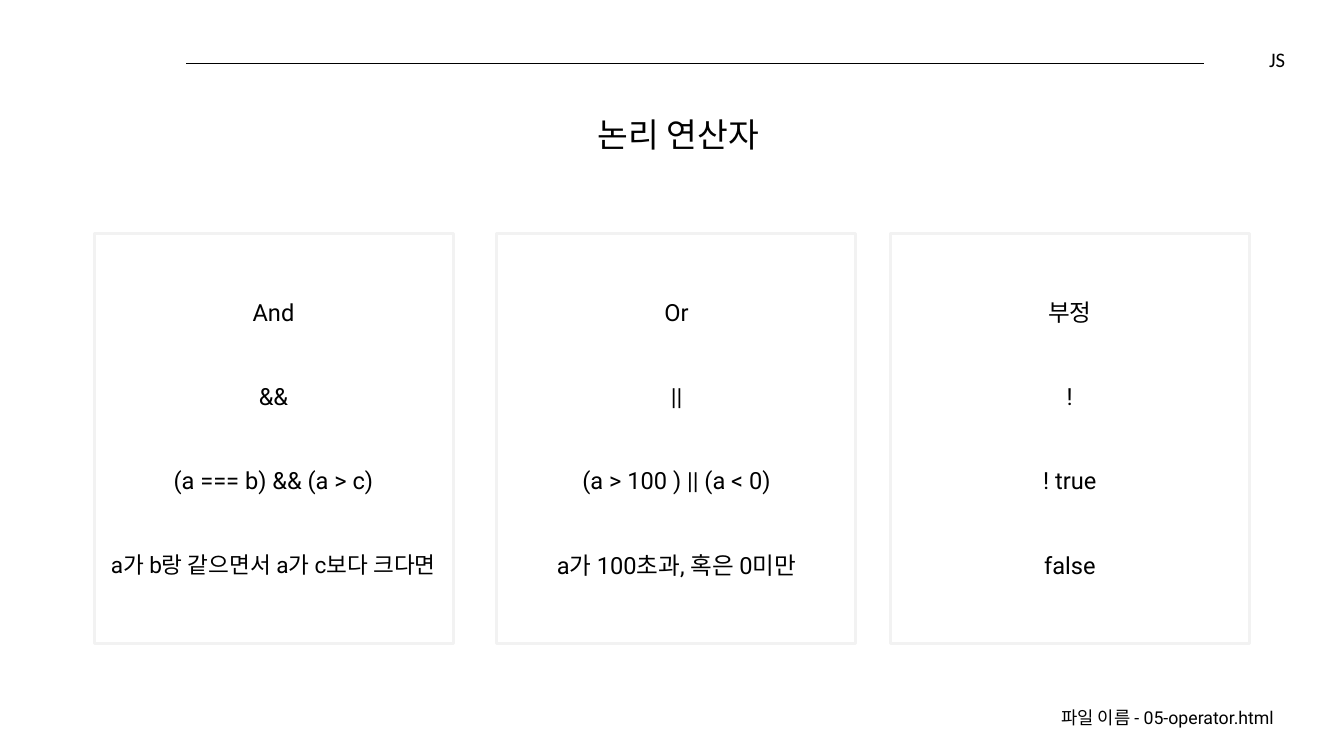
from pptx import Presentation
from pptx.dml.color import RGBColor
from pptx.enum.shapes import MSO_CONNECTOR, MSO_SHAPE
from pptx.enum.text import MSO_ANCHOR, PP_ALIGN
from pptx.oxml.ns import qn
from pptx.util import Inches, Pt
from lxml.etree import SubElement

WIDTH, HEIGHT = 18.97, 10.67
CARD_TOP, CARD_WIDTH, CARD_HEIGHT = 3.29, 5.07, 5.79
ROW_TOP, ROW_STEP, ROW_HEIGHT = 4.01, 1.19, 0.78


def color(value):
    return RGBColor.from_string(value)


def add_text(text, left, top, width, height, size, align=PP_ALIGN.CENTER,
             font="Roboto", inset=0.19, anchor=MSO_ANCHOR.TOP):
    box = page.shapes.add_textbox(Inches(left), Inches(top), Inches(width), Inches(height))
    frame = box.text_frame
    frame.word_wrap = True
    frame.vertical_anchor = anchor
    frame.margin_left = frame.margin_right = Inches(inset)
    frame.margin_top = frame.margin_bottom = Inches(inset)
    frame.text = text
    para = frame.paragraphs[0]
    para.alignment = align
    span = para.runs[0]
    span.font.name = font
    span.font.size = Pt(size)
    span.font.color.rgb = color("000000")


deck = Presentation()
deck.slide_width, deck.slide_height = Inches(WIDTH), Inches(HEIGHT)
page = deck.slides.add_slide(deck.slide_layouts[6])

rule = page.shapes.add_connector(
    MSO_CONNECTOR.STRAIGHT, Inches(16.99), Inches(0.9), Inches(2.62), Inches(0.9))
rule.line.color.rgb = color("000000")
rule.line.width = Pt(0.75)
SubElement(rule._element.spPr, qn("a:effectLst"))

add_text("JS", 12.65, 0.64, 5.49, 0.38, 21, PP_ALIGN.RIGHT, "Calibri", 0, MSO_ANCHOR.MIDDLE)
add_text("논리 연산자", 3.86, 1.42, 11.43, 0.98, 34)
add_text("파일 이름 - 05-operator.html", 13.85, 9.82, 4.32, 0.7, 18, PP_ALIGN.RIGHT)

operators = [
    (1.33, 3.86, (1.9, 1.9, 4.03, 5.33), 23,
     ("And", "&&", "(a === b) && (a > c)", "a가 b랑 같으면서 a가 c보다 크다면")),
    (7.01, 9.55, (1.9, 1.9, 4.3, 4.3), 24,
     ("Or", "||", "(a > 100 ) || (a < 0)", "a가 100초과, 혹은 0미만")),
    (12.57, 15.1, (1.9, 1.9, 1.49, 1.49), 24,
     ("부정", "!", "! true", "false")),
]

for card_left, center, widths, meaning_size, texts in operators:
    card = page.shapes.add_shape(
        MSO_SHAPE.RECTANGLE, Inches(card_left), Inches(CARD_TOP),
        Inches(CARD_WIDTH), Inches(CARD_HEIGHT))
    card.shadow.inherit = False
    card.fill.background()
    card.line.color.rgb = color("F2F2F2")
    card.line.width = Pt(3)
    sizes = (24, 24, 24, meaning_size)
    for row, (text, width, size) in enumerate(zip(texts, widths, sizes)):
        add_text(text, center - width / 2, ROW_TOP + row * ROW_STEP, width, ROW_HEIGHT, size)

deck.save("out.pptx")
